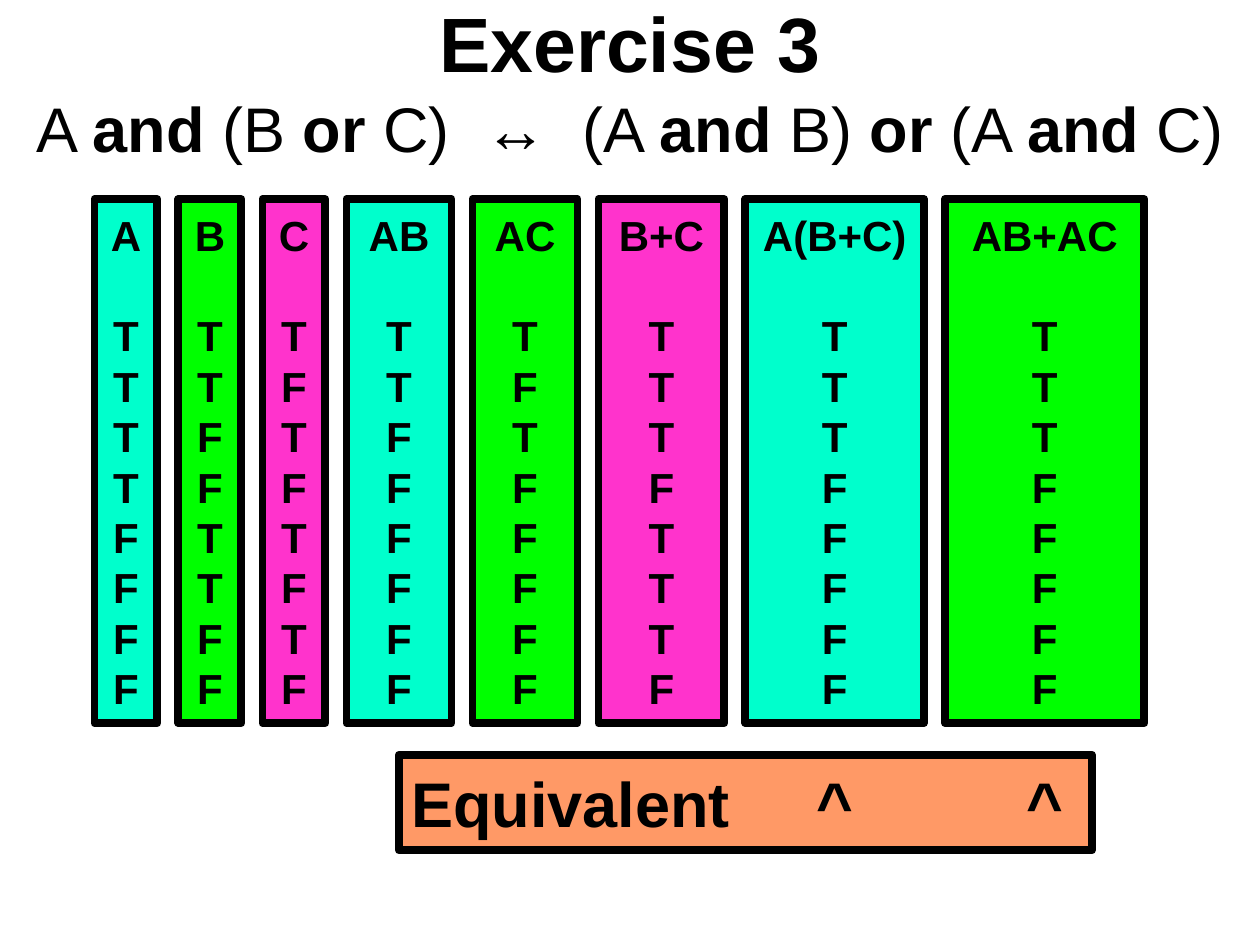
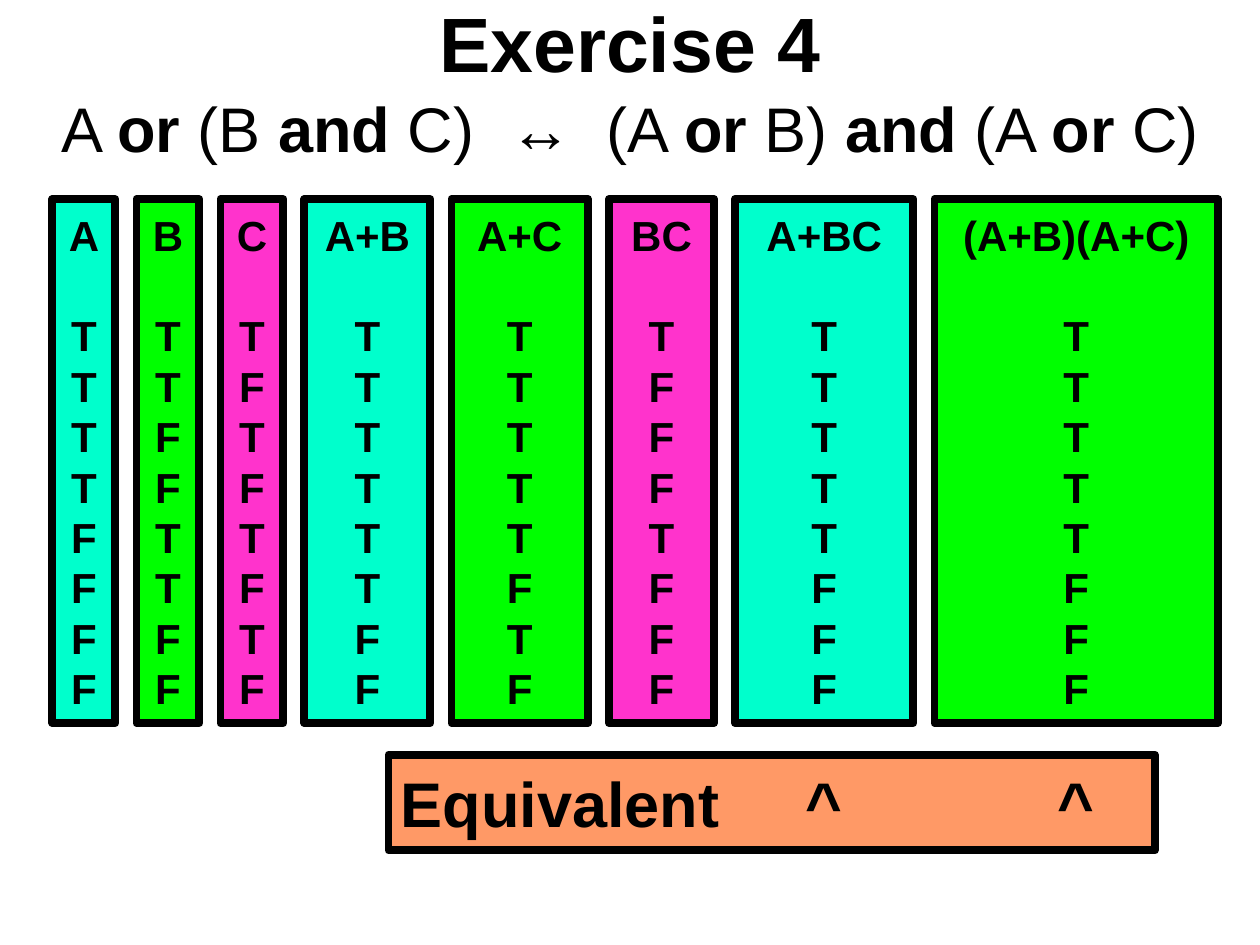
"""Build two truth-table exercises showing that logical formulas are equivalent."""
from itertools import cycle

from lxml.etree import SubElement
from pptx import Presentation
from pptx.dml.color import RGBColor
from pptx.enum.shapes import MSO_SHAPE
from pptx.enum.text import MSO_ANCHOR, PP_ALIGN
from pptx.oxml.ns import qn
from pptx.util import Inches, Pt

EXERCISES = [
    {
        "title": "Exercise 3",
        "formula": ["A ", "and ", "(B ", "or ", "C)  ↔  (A ", "and ", "B) ",
                    "or ", "(A ", "and ", "C)"],
        "left": 9,
        "columns": [
            ("A", "TTTTFFFF", 6), ("B", "TTFFTTFF", 6), ("C", "TFTFTFTF", 6),
            ("AB", "TTFFFFFF", 10), ("AC", "TFTFFFFF", 10),
            ("B+C", "TTTFTTTF", 12), ("A(B+C)", "TTTFFFFF", 17),
            ("AB+AC", "TTTFFFFF", 19),
        ],
        "verdict": (38, 66),
    },
    {
        "title": "Exercise 4",
        "formula": ["A ", "or ", "(B ", "and ", "C)  ↔  (A ", "or ", "B) ",
                    "and ", "(A ", "or ", "C)"],
        "left": 5,
        "columns": [
            ("A", "TTTTFFFF", 6), ("B", "TTFFTTFF", 6), ("C", "TFTFTFTF", 6),
            ("A+B", "TTTTTTFF", 12), ("A+C", "TTTTTFTF", 13),
            ("BC", "TFFFTFFF", 10), ("A+BC", "TTTTTFFF", 17),
            ("(A+B)(A+C)", "TTTTTFFF", 27),
        ],
        "verdict": (37, 73),
    },
]
COLORS = {"aqua": "00FFCC", "green": "00FF00", "pink": "FF33CC",
          "orange": "FF9966", "black": "000000"}
COLUMN_FILLS = ("aqua", "green", "pink")
FONT = "Arial"
UNIT = Inches(1) / 12
GAP = 2
INSET = Inches(0.1)
LINE_FACTOR = 1.2


def rgb(name):
    return RGBColor.from_string(COLORS[name])


def style(paragraph, size, line, align=PP_ALIGN.CENTER, bold=True):
    paragraph.alignment = align
    paragraph.line_spacing = Pt(line)
    font = paragraph.font
    font.name, font.size, font.bold = FONT, Pt(size), bold
    font.color.rgb = rgb("black")


def add_heading(slide, title, formula):
    heading = slide.shapes.add_textbox(0, 0, Inches(10), Inches(1.25)).text_frame
    heading.word_wrap = True
    heading.margin_top = heading.margin_bottom = 0
    heading.paragraphs[0].text = title
    style(heading.paragraphs[0], 44, 50.4)
    statement = heading.add_paragraph()
    style(statement, 36, 44, bold=False)
    for index, part in enumerate(formula):
        run = statement.add_run()
        run.text = part
        run.font.bold = index % 2 == 1


def add_panel(slide, left, top, width, height, fill):
    panel = slide.shapes.add_shape(MSO_SHAPE.RECTANGLE, round(left * UNIT), Inches(top),
                                   round(width * UNIT), Inches(height))
    panel.shadow.inherit = False
    panel.fill.solid()
    panel.fill.fore_color.rgb = rgb(fill)
    panel.line.color.rgb = rgb("black")
    panel.line.width = Pt(4.5)
    frame = panel.text_frame
    frame.word_wrap = True
    frame.vertical_anchor = MSO_ANCHOR.MIDDLE
    return frame


def add_columns(slide, left, columns):
    centers = []
    for (header, values, width), fill in zip(columns, cycle(COLUMN_FILLS)):
        column = add_panel(slide, left, 1.58, width, 4.16, fill)
        column.text = "\n".join([header, *values])
        for paragraph in column.paragraphs:
            style(paragraph, 24, 24 * LINE_FACTOR)
        column.paragraphs[0].space_after = Pt(24 * LINE_FACTOR)
        centers.append(left + width / 2)
        left += width + GAP
    return centers


def add_verdict(slide, left, width, caret_centers):
    verdict = add_panel(slide, left, 5.99, width, 0.76, "orange").paragraphs[0]
    verdict.text = "Equivalent\t^\t^"
    style(verdict, 36, 36 * LINE_FACTOR, PP_ALIGN.LEFT)
    tabs = SubElement(verdict._p.get_or_add_pPr(), qn("a:tabLst"))
    for center in caret_centers:
        SubElement(tabs, qn("a:tab"), pos=str(round((center - left) * UNIT - INSET)),
                   algn="ctr")
    properties = verdict._p.pPr
    properties.append(properties.find(qn("a:defRPr")))


def main():
    deck = Presentation()
    deck.slide_width, deck.slide_height = Inches(10), Inches(7.5)
    for exercise in EXERCISES:
        slide = deck.slides.add_slide(deck.slide_layouts[6])
        add_heading(slide, exercise["title"], exercise["formula"])
        centers = add_columns(slide, exercise["left"], exercise["columns"])
        add_verdict(slide, *exercise["verdict"], centers[-2:])
    deck.save("out.pptx")


if __name__ == "__main__":
    main()
